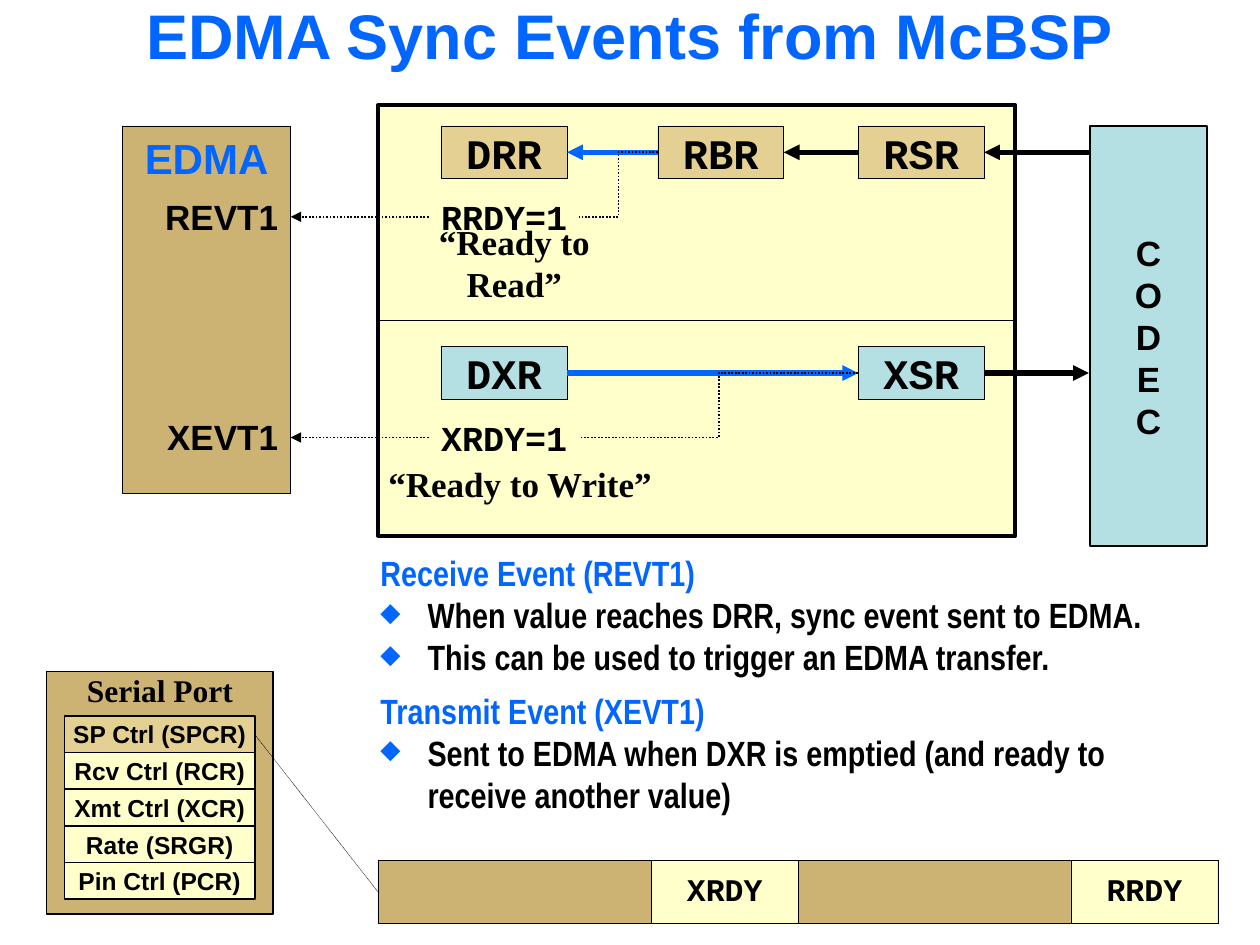
from dataclasses import dataclass
from pptx import Presentation
from pptx.dml.color import RGBColor as RGB
from pptx.enum.dml import MSO_LINE as Dash
from pptx.enum.shapes import MSO_CONNECTOR as Link, MSO_SHAPE as Form
from pptx.enum.text import MSO_ANCHOR as Anchor, PP_ALIGN as Align
from pptx.oxml.ns import qn
from pptx.util import Cm, Pt
from lxml.etree import SubElement as Sub


@dataclass(frozen=True)
class Theme:
    ink: str = "000000"
    blue: str = "0066FF"
    tan: str = "CCB374"
    sand: str = "E5D093"
    cream: str = "FFFFCC"
    aqua: str = "B5E0E3"
    sans: str = "Arial"
    slim: str = "Arial Narrow"
    mono: str = "Courier New"
    serif: str = "Times New Roman"
    title: int = 36
    head: int = 24
    body: int = 20
    label: int = 18
    small: int = 14


class Deck:
    """Draws styled elements on the current slide."""

    def __init__(self, theme):
        self.theme = theme
        self.file = Presentation()
        self.file.slide_width, self.file.slide_height = Cm(25.4), Cm(19.05)
        self.slide = self.file.slides.add_slide(self.file.slide_layouts[6])

    def style(self, para, face, size, color=None):
        font = para.font
        font.name, font.size, font.bold = face, Pt(size), True
        font.color.rgb = RGB.from_string(color or self.theme.ink)

    def label(self, shape, text, face, size, color=None, align=Align.CENTER,
              anchor=Anchor.MIDDLE, wrap=False, pad=(0.25, 0.13), gap=None):
        frame = shape.text_frame
        frame.word_wrap, frame.vertical_anchor = wrap, anchor
        frame.margin_left = frame.margin_right = Cm(pad[0])
        frame.margin_top = frame.margin_bottom = Cm(pad[1])
        para = frame.paragraphs[0]
        para.text = text
        para.alignment = align
        if gap:
            para.line_spacing = gap
        self.style(para, face, size, color)

    def rect(self, area, fill, edge=0.25):
        shape = self.slide.shapes.add_shape(Form.RECTANGLE, *map(Cm, area))
        shape.shadow.inherit = False
        shape.fill.solid()
        shape.fill.fore_color.rgb = RGB.from_string(fill)
        shape.line.color.rgb = RGB.from_string(self.theme.ink)
        shape.line.width = Pt(edge)
        return shape

    def text(self, area, *words, **look):
        self.label(self.slide.shapes.add_textbox(*map(Cm, area)), *words, **look)

    def line(self, start, end, width, color=None, dots=False, arrow=False, bent=False):
        kind = Link.ELBOW if bent else Link.STRAIGHT
        link = self.slide.shapes.add_connector(kind, *map(Cm, start + end))
        link.line.color.rgb = RGB.from_string(color or self.theme.ink)
        link.line.width = Pt(width)
        if dots:
            link.line.dash_style = Dash.ROUND_DOT
        props = link.element.spPr
        if arrow:
            Sub(props.find(qn("a:ln")), qn("a:tailEnd"), type="triangle")
        Sub(props, qn("a:effectLst"))

    def notes(self, area, head, items):
        theme = self.theme
        frame = self.slide.shapes.add_textbox(*map(Cm, area)).text_frame
        frame.word_wrap = True
        frame.text = "\n".join([head, *items])
        for rank, para in enumerate(frame.paragraphs):
            props = para._p.get_or_add_pPr()
            props.set("marL", str(Cm(0.95)))
            props.set("indent", str(-Cm(0.95)))
            if rank:
                Sub(Sub(props, qn("a:buClr")), qn("a:srgbClr"), val=theme.blue)
                Sub(props, qn("a:buSzPct"), val="75000")
                Sub(props, qn("a:buChar"), char="◆")
            self.style(para, theme.slim, theme.body, None if rank else theme.blue)


def main():
    look = Theme()
    deck = Deck(look)
    mono, sans, serif = look.mono, look.sans, look.serif

    deck.text((0, 0.15, 25.4, 1.7), "EDMA Sync Events from McBSP", sans, look.title,
              look.blue, anchor=Anchor.TOP, wrap=True, pad=(0.13, 0.13), gap=0.75)
    deck.rect((7.62, 2.12, 12.85, 8.68), look.cream, 2.25)
    deck.line((7.62, 6.45), (20.47, 6.45), 0.25, dots=True)
    deck.label(deck.rect((2.47, 2.54, 3.39, 7.41), look.tan), "EDMA", sans,
               look.head, look.blue, anchor=Anchor.TOP)
    deck.label(deck.rect((21.97, 2.54, 2.37, 8.47), look.aqua, 1),
               "\v".join("CODEC"), sans, look.body, wrap=True)

    rows = [
        (2.54, look.sand, {"DRR": 8.89, "RBR": 13.26, "RSR": 17.3},
         [(21.95, 19.84), (17.3, 15.8)], (13.26, 11.43), 13.26, "REVT1", "RRDY=1"),
        (6.99, look.aqua, {"DXR": 8.89, "XSR": 17.3},
         [(19.84, 21.95)], (11.43, 17.3), 17.3, "XEVT1", "XRDY=1"),
    ]
    for top, fill, regs, hops, main_hop, tap, event, flag in rows:
        mid, low = top + 0.53, top + 1.83
        for name, left in regs.items():
            deck.label(deck.rect((left, top, 2.54, 1.06), fill), name, mono, look.head)
        for start, end in hops:
            deck.line((start, mid), (end, mid), 3, arrow=True)
        deck.line((main_hop[0], mid), (main_hop[1], mid), 3, look.blue, arrow=True)
        deck.line((tap, mid), (11.68, low), 1, dots=True, bent=True)
        deck.line((8.64, low), (5.86, low), 1, dots=True, arrow=True)
        deck.text((3.07, top + 1.27, 2.79, 1.09), event, sans, look.body, align=Align.RIGHT)
        deck.text((8.64, top + 1.4, 3.05, 0.84), flag, mono, look.body, pad=(0.25, 0))

    deck.text((7.82, 4.88, 5.1, 0.84), "“Ready to Read”", serif, look.body,
              wrap=True, pad=(0, 0))
    deck.text((7.82, 9.32, 5.33, 0.84), "“Ready to Write”", serif, look.body, pad=(0, 0))

    deck.notes((7.42, 11, 16.23, 2.79), "Receive Event (REVT1)",
               ["When value reaches DRR, sync event sent to EDMA.",
                "This can be used to trigger an EDMA transfer."])
    deck.notes((7.42, 13.77, 16.23, 2.79), "Transmit Event (XEVT1)",
               ["Sent to EDMA when DXR is emptied (and ready to receive another value)"])

    deck.rect((0.94, 13.54, 4.57, 4.88), look.tan, 1)
    deck.text((1.5, 13.54, 3.45, 0.86), "Serial Port", serif, look.label,
              anchor=Anchor.TOP, gap=0.8)
    ports = ["SP Ctrl (SPCR)", "Rcv Ctrl (RCR)", "Xmt Ctrl (XCR)",
             "Rate (SRGR)", "Pin Ctrl (PCR)"]
    for rank, name in enumerate(ports):
        cell = deck.rect((1.3, 14.43 + 0.74 * rank, 3.84, 0.74),
                         look.cream if rank else look.sand, 1)
        deck.label(cell, name, sans, look.small, pad=(0, 0))

    deck.rect((7.62, 17.35, 16.93, 1.27), look.tan)
    for left, name in [(13.13, "XRDY"), (21.59, "RRDY")]:
        deck.label(deck.rect((left, 17.35, 2.96, 1.27), look.cream), name, mono,
                   look.label, gap=0.8)
    deck.line((5.13, 14.8), (7.62, 17.98), 0.25, dots=True)
    deck.file.save("out.pptx")


if __name__ == "__main__":
    main()
